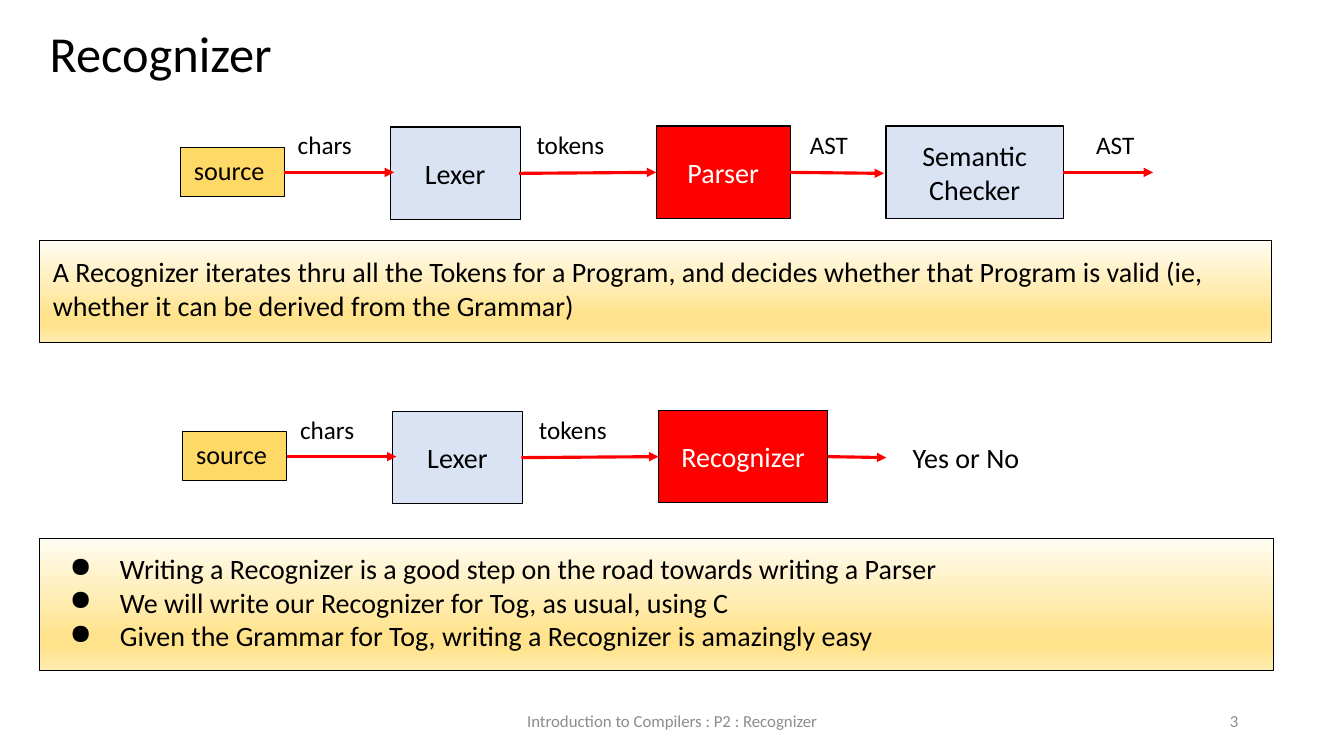
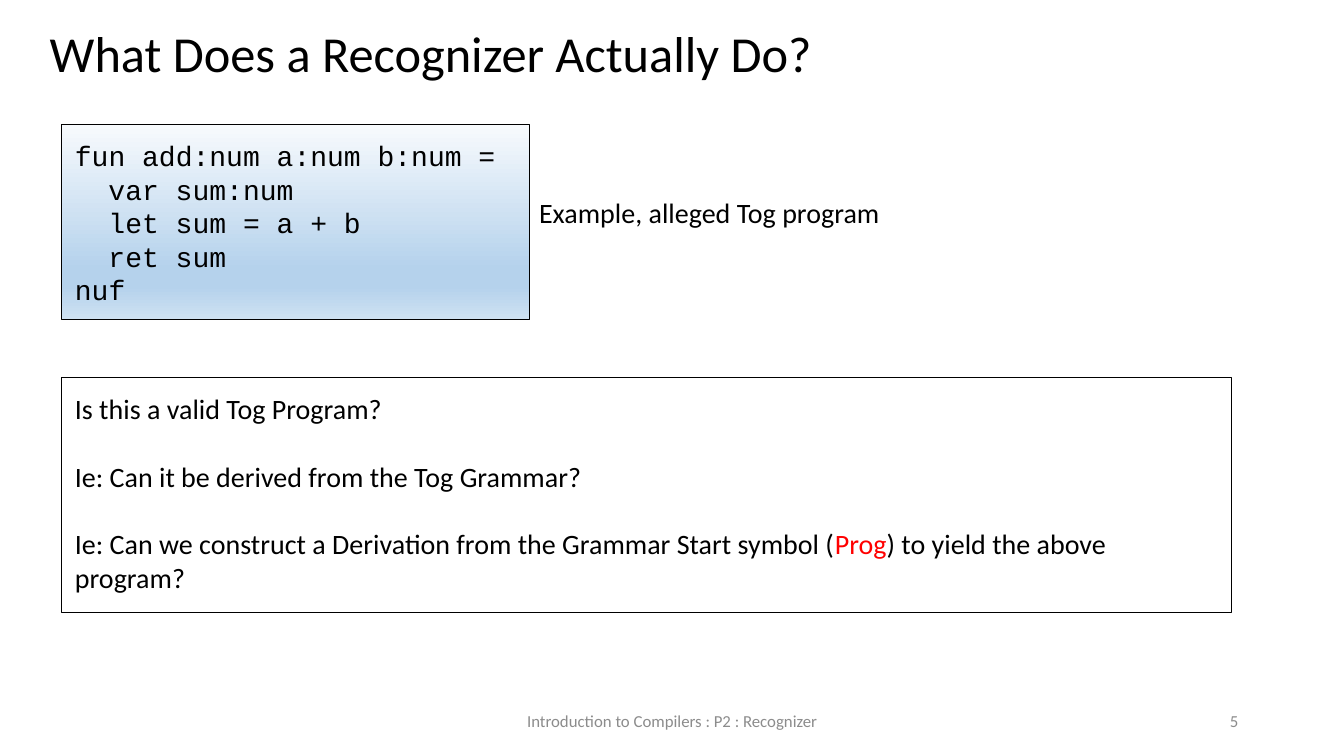
import dataclasses
import lxml.etree
import pptx
import pptx.dml.color
import pptx.enum.shapes
import pptx.enum.text
import pptx.oxml.ns
import pptx.slide
import pptx.util
from typing import Optional

RGB = pptx.dml.color.RGBColor
ALIGN = pptx.enum.text.PP_ALIGN
ANCHOR = pptx.enum.text.MSO_ANCHOR
qn = pptx.oxml.ns.qn

# Grid: 40 columns by 22.5 rows of square cells
COLS, ROWS = 40, 22.5
CELL = pptx.util.Inches(1 / 3)

# Colours
BLACK = RGB(0x00, 0x00, 0x00)
WHITE = RGB(0xFF, 0xFF, 0xFF)
GREY = RGB(0x8C, 0x8C, 0x8C)
RED = RGB(0xFF, 0x00, 0x00)
PALE = RGB(0xDA, 0xE3, 0xF3)
GOLD = RGB(0xFF, 0xD9, 0x66)
STOPS = (0, 74, 83, 100)
AMBER = (RGB(0xFF, 0xFC, 0xF2), RGB(0xFF, 0xE3, 0x8C),
         RGB(0xFF, 0xE3, 0x8C), RGB(0xFF, 0xEC, 0xB2))
SKY = (RGB(0xF7, 0xFA, 0xFD), RGB(0xB5, 0xD2, 0xEC),
       RGB(0xB5, 0xD2, 0xEC), RGB(0xCE, 0xE1, 0xF2))


@dataclasses.dataclass(frozen=True)
class Look:
    size: float = 20
    ink: RGB = BLACK
    fill: Optional[RGB] = None
    blend: tuple[RGB, ...] = ()
    edge: bool = False
    align: ALIGN = ALIGN.LEFT
    anchor: ANCHOR = ANCHOR.TOP
    pad: tuple[float, float] = (0.4, 0.4)
    font: str = "Calibri"
    gap: float = 0
    dots: bool = False


@dataclasses.dataclass(frozen=True)
class Box:
    """Lines of text in a frame; a *starred* part is red, a tab indents."""
    lines: tuple[str, ...]
    x: float
    y: float
    w: float
    h: float
    look: Look


@dataclasses.dataclass(frozen=True)
class Arrow:
    x1: float
    y1: float
    x2: float
    y2: float


# Text and box styles
TITLE = Look(36)
FOOT = Look(12, GREY, align=ALIGN.CENTER, anchor=ANCHOR.MIDDLE, pad=(0.3, 0.15))
PAGE = dataclasses.replace(FOOT, align=ALIGN.RIGHT, pad=(0.4, 0.2))
STAGE = Look(fill=PALE, edge=True, align=ALIGN.CENTER, anchor=ANCHOR.MIDDLE,
             pad=(0.4, 0.2))
FOCUS = dataclasses.replace(STAGE, ink=WHITE, fill=RED)
SOURCE = Look(18.7, fill=GOLD, edge=True, pad=(0.4, 0.2))
LABEL = Look(18, pad=(0.4, 0.2))
PANEL = Look(blend=AMBER, edge=True)
POINTS = dataclasses.replace(PANEL, dots=True)
CODE = Look(blend=SKY, edge=True, font="Courier New")
FRAME = Look(edge=True, gap=24.4)
ANSWER = Look(anchor=ANCHOR.MIDDLE)
NOTE = Look(pad=(0.3, 0.15))


def cells(count: float) -> pptx.util.Emu:
    return pptx.util.Emu(round(count * CELL))


def shade(fill, blend: tuple[RGB, ...]) -> None:
    fill.gradient()
    fill.gradient_angle = 270
    stops = fill._xPr.find(".//" + qn("a:gsLst"))
    for old in list(stops):
        stops.remove(old)
    for place, tone in zip(STOPS, blend):
        stop = lxml.etree.SubElement(stops, qn("a:gs"), pos=str(place * 1000))
        lxml.etree.SubElement(stop, qn("a:srgbClr"), val=str(tone))


def write(para, line: str, look: Look) -> None:
    para.alignment = look.align
    props = para._p.get_or_add_pPr()
    if line.startswith("\t"):
        props.set("marL", str(cells(1)))
    if look.dots:
        props.set("marL", str(cells(2)))
        props.set("indent", str(cells(-1.5)))
        lxml.etree.SubElement(props, qn("a:buChar"), char="●")
    parts = line.strip("\t").split("*")
    para.text = parts[0]
    for part in parts[1:]:
        para.add_run().text = part
    for spot, run in enumerate(para.runs):
        run.font.name = look.font
        run.font.size = pptx.util.Pt(look.size)
        run.font.color.rgb = RED if spot % 2 else look.ink


def draw_box(slide: pptx.slide.Slide, box: Box) -> None:
    look = box.look
    area = [cells(side) for side in (box.x, box.y, box.w, box.h)]
    if look.edge:
        shape = slide.shapes.add_shape(
            pptx.enum.shapes.MSO_SHAPE.RECTANGLE, *area)
        shape.shadow.inherit = False
        shape.line.color.rgb = BLACK
        shape.line.width = pptx.util.Pt(0.75)
        if look.blend:
            shade(shape.fill, look.blend)
        elif look.fill is not None:
            shape.fill.solid()
            shape.fill.fore_color.rgb = look.fill
        else:
            shape.fill.background()
    else:
        shape = slide.shapes.add_textbox(*area)
    frame = shape.text_frame
    frame.word_wrap = True
    frame.vertical_anchor = look.anchor
    frame.margin_left = frame.margin_right = cells(look.pad[0])
    frame.margin_top = frame.margin_bottom = cells(look.pad[1])
    for spot, line in enumerate(box.lines):
        para = frame.add_paragraph() if spot else frame.paragraphs[0]
        write(para, line, look)
        if spot and look.gap:
            para.space_before = pptx.util.Pt(look.gap)


def draw_arrow(slide: pptx.slide.Slide, arrow: Arrow) -> None:
    ends = [cells(end) for end in (arrow.x1, arrow.y1, arrow.x2, arrow.y2)]
    line = slide.shapes.add_connector(
        pptx.enum.shapes.MSO_CONNECTOR.STRAIGHT, *ends)
    line.line.color.rgb = RED
    line.line.width = pptx.util.Pt(2.25)
    lxml.etree.SubElement(line.line._get_or_add_ln(), qn("a:tailEnd"),
                          type="triangle")
    lxml.etree.SubElement(line._element.spPr, qn("a:effectLst"))


def draw_flow(slide: pptx.slide.Slide, x: float, y: float,
              boxes: tuple[Box, ...], arrows: tuple[Arrow, ...]) -> None:
    for box in START + boxes:
        draw_box(slide, dataclasses.replace(box, x=x + box.x, y=y + box.y))
    for arrow in LEAD + arrows:
        draw_arrow(slide, Arrow(x + arrow.x1, y + arrow.y1,
                                x + arrow.x2, y + arrow.y2))


def new_slide(deck, title: str, page: int) -> pptx.slide.Slide:
    slide = deck.slides.add_slide(deck.slide_layouts[6])
    for box in (
        Box((title,), 1.08, 0.27, 36.15, 2.46, TITLE),
        Box(("Introduction to Compilers : P2 : Recognizer",),
            13.26, 20.85, 13.5, 1.2, FOOT),
        Box((str(page),), 28.26, 20.85, 9, 1.2, PAGE),
    ):
        draw_box(slide, box)
    return slide


# Steps that open both flows, placed from the flow's corner
START = (
    Box(("source",), 0, 0.72, 3.09, 1.47, SOURCE),
    Box(("Lexer",), 6.24, 0.12, 3.87, 2.76, STAGE),
    Box(("chars",), 3.09, 0, 2.67, 1.47, LABEL),
    Box(("tokens",), 10.2, 0, 3.09, 1.47, LABEL),
)
LEAD = (Arrow(3.09, 1.47, 6.36, 1.47), Arrow(10.08, 1.5, 14.16, 1.47))

deck = pptx.Presentation()
deck.slide_width, deck.slide_height = cells(COLS), cells(ROWS)

# Slide 1: parser flow against recognizer flow
slide = new_slide(deck, "Recognizer", 3)
draw_box(slide, Box((
    "A Recognizer iterates thru all the Tokens for a Program, and decides "
    "whether that Program is valid (ie, whether it can be derived from the "
    "Grammar)",), 1.17, 7.17, 36.66, 3.03, PANEL))
draw_box(slide, Box((
    "Writing a Recognizer is a good step on the road towards writing a Parser",
    "We will write our Recognizer for Tog, as usual, using C",
    "Given the Grammar for Tog, writing a Recognizer is amazingly easy",
), 1.17, 16.02, 36.72, 3.93, POINTS))
draw_flow(slide, 5.37, 3.66, (
    Box(("Parser",), 14.16, 0.09, 3.99, 2.76, FOCUS),
    Box(("Semantic", "Checker"), 21, 0.09, 5.28, 2.76, STAGE),
    Box(("AST",), 18.33, 0, 2.46, 1.47, LABEL),
    Box(("AST",), 26.85, 0, 2.46, 1.47, LABEL),
), (Arrow(18.12, 1.47, 20.94, 1.5), Arrow(26.28, 1.47, 28.95, 1.47)))
draw_flow(slide, 5.44, 12.12, (
    Box(("Recognizer",), 14.16, 0.09, 5.04, 2.76, FOCUS),
    Box(("Yes or No",), 21.32, 0.9, 6.6, 1.2, ANSWER),
), (Arrow(19.2, 1.47, 20.94, 1.5),))

# Slide 2: sample program and the question it raises
slide = new_slide(deck, "What Does a Recognizer Actually Do?", 5)
for box in (
    Box(("fun add:num a:num b:num =", "\tvar sum:num", "\tlet sum = a + b",
         "\tret sum", "nuf"), 1.83, 3.72, 13.92, 5.79, CODE),
    Box(("Example, alleged Tog program",), 15.75, 5.67, 18.12, 1.32, NOTE),
    Box(("Is this a valid Tog Program?",
         "Ie: Can it be derived from the Tog Grammar?",
         "Ie: Can we construct a Derivation from the Grammar Start symbol "
         "(*Prog*) to yield the above program?"),
        1.83, 11.25, 34.83, 6.99, FRAME),
):
    draw_box(slide, box)

deck.save("out.pptx")
